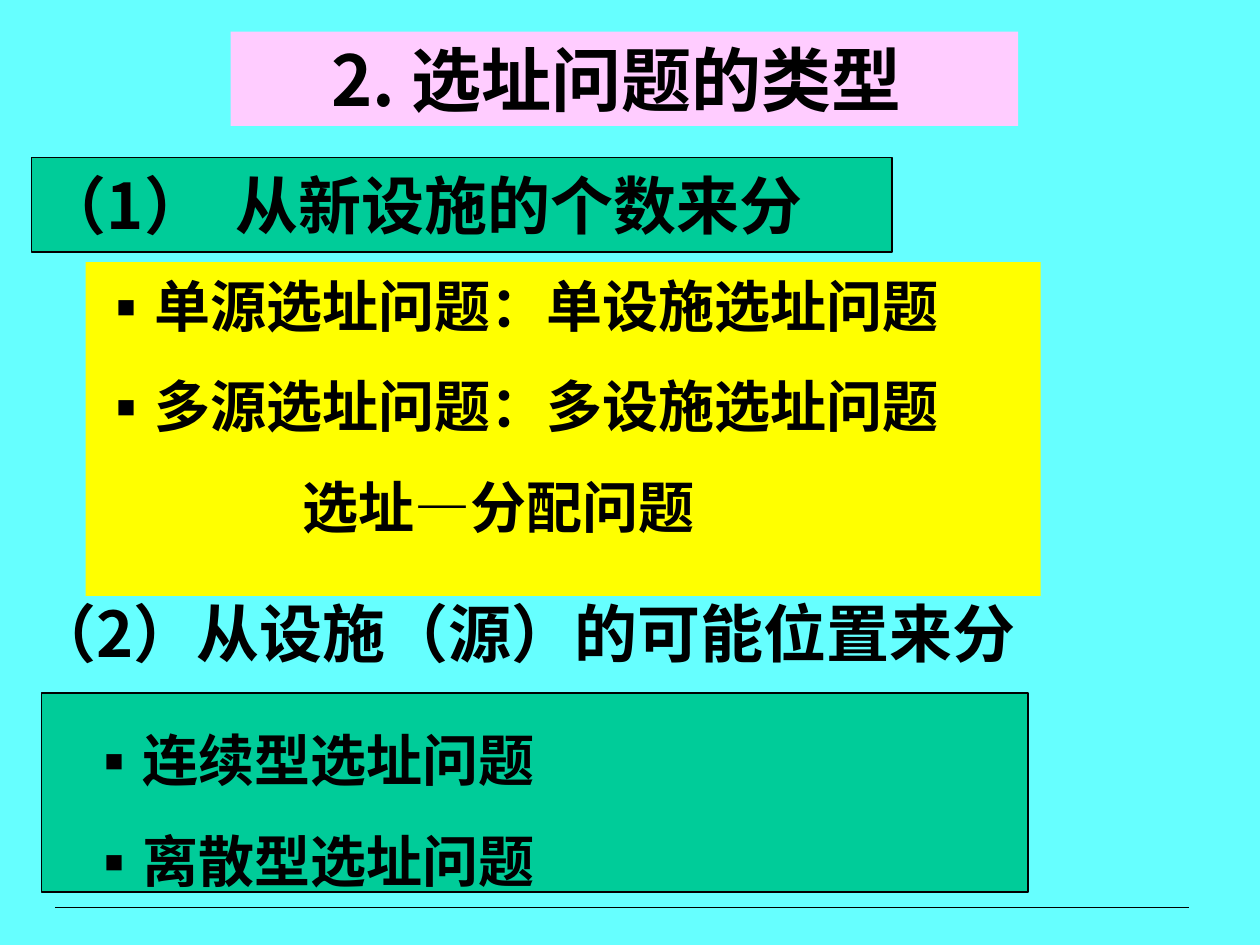
from lxml import etree
from pptx import Presentation
from pptx.dml.color import RGBColor
from pptx.enum.shapes import MSO_CONNECTOR, MSO_SHAPE
from pptx.enum.text import MSO_ANCHOR, PP_ALIGN
from pptx.oxml.ns import qn
from pptx.util import Inches, Pt

RECT, STRAIGHT = MSO_SHAPE.RECTANGLE, MSO_CONNECTOR.STRAIGHT
MIDDLE, TOP = MSO_ANCHOR.MIDDLE, MSO_ANCHOR.TOP
LEFT, CENTER = PP_ALIGN.LEFT, PP_ALIGN.CENTER

FONT = "Noto Sans CJK SC"
BLACK, CYAN, PINK, GREEN, YELLOW = "000000", "66FFFF", "FFCCFF", "00CC99", "FFFF00"
HANG = 0.34  # room between a bullet and its text

# Content: paragraphs are (text, bulleted, left indent)
TITLE = [("2. 选址问题的类型 ", False, 0)]
BY_COUNT = [("（1）  从新设施的个数来分", False, 0)]
COUNT_TYPES = [
    ("单源选址问题：单设施选址问题", True, 0),
    ("多源选址问题：多设施选址问题", True, 0),
    ("选址—分配问题", False, 1.62),
]
BY_PLACE = [("（2）从设施（源）的可能位置来分", False, 0)]
PLACE_TYPES = [
    ("连续型选址问题", True, 0.26),
    ("离散型选址问题", True, 0.26),
]

# (box, fill, outlined, paragraphs, size, line spacing, alignment, bottom inset)
BLOCKS = [
    ((1.83, 0.25, 6.25, 0.75), PINK, False, TITLE, 40, 1, CENTER, 0.05),
    ((0.17, 4.67, 8.58, 0.7), None, False, BY_PLACE, 36, 1, LEFT, 0.05),
    ((0.33, 5.5, 7.83, 1.58), GREEN, True, PLACE_TYPES, 32, 1.5, LEFT, 0.05),
    ((0.25, 1.25, 6.83, 0.75), GREEN, True, BY_COUNT, 36, 1, LEFT, 0.05),
    ((0.68, 2.08, 7.58, 2.65), YELLOW, False, COUNT_TYPES, 32, 1.5, LEFT, 0.69),
]


def rgb(color):
    return RGBColor.from_string(color)


def add_bullet(p, indent):
    pPr = p._p.get_or_add_pPr()
    pPr.set("marL", str(Inches(indent + HANG)))
    pPr.set("indent", str(-Inches(HANG)))
    color = etree.SubElement(pPr, qn("a:buClr"))
    etree.SubElement(color, qn("a:srgbClr")).set("val", BLACK)
    etree.SubElement(pPr, qn("a:buFont")).set("typeface", FONT)
    etree.SubElement(pPr, qn("a:buChar")).set("char", "▪")


def add_text(tf, paragraphs, size, spacing, align):
    for i, (text, bulleted, indent) in enumerate(paragraphs):
        p = tf.paragraphs[0] if i == 0 else tf.add_paragraph()
        p.alignment, p.line_spacing = align, spacing
        if bulleted:
            add_bullet(p, indent)
        elif indent:
            p._p.get_or_add_pPr().set("marL", str(Inches(indent)))
        r = p.add_run()
        r.text = text
        r.font.size, r.font.bold, r.font.name = Pt(size), True, FONT
        r.font.color.rgb = rgb(BLACK)
        etree.SubElement(r._r.get_or_add_rPr(), qn("a:ea")).set("typeface", FONT)


def add_block(s, box, fill, outlined, paragraphs, size, spacing, align, bottom):
    box = [Inches(v) for v in box]
    if fill:
        sp = s.shapes.add_shape(RECT, *box)
        sp.shadow.inherit = False
        sp.fill.solid()
        sp.fill.fore_color.rgb = rgb(fill)
        if outlined:
            sp.line.color.rgb = rgb(BLACK)
            sp.line.width = Pt(0.75)
        else:
            sp.line.fill.background()
    else:
        sp = s.shapes.add_textbox(*box)
    tf = sp.text_frame
    tf.word_wrap = True
    tf.vertical_anchor = MIDDLE if fill else TOP
    tf.margin_bottom = Inches(bottom)
    add_text(tf, paragraphs, size, spacing, align)


prs = Presentation()
prs.slide_width, prs.slide_height = Inches(10), Inches(7.5)
s = prs.slides.add_slide(prs.slide_layouts[6])
s.background.fill.solid()
s.background.fill.fore_color.rgb = rgb(CYAN)

# Footer rule
rule = s.shapes.add_connector(STRAIGHT, Inches(0.44), Inches(7.2), Inches(9.44), Inches(7.2))
rule.line.color.rgb = rgb(BLACK)
rule.line.width = Pt(0.75)
etree.SubElement(rule._element.spPr, qn("a:effectLst"))

# Headings and lists
for block in BLOCKS:
    add_block(s, *block)

prs.save("out.pptx")
